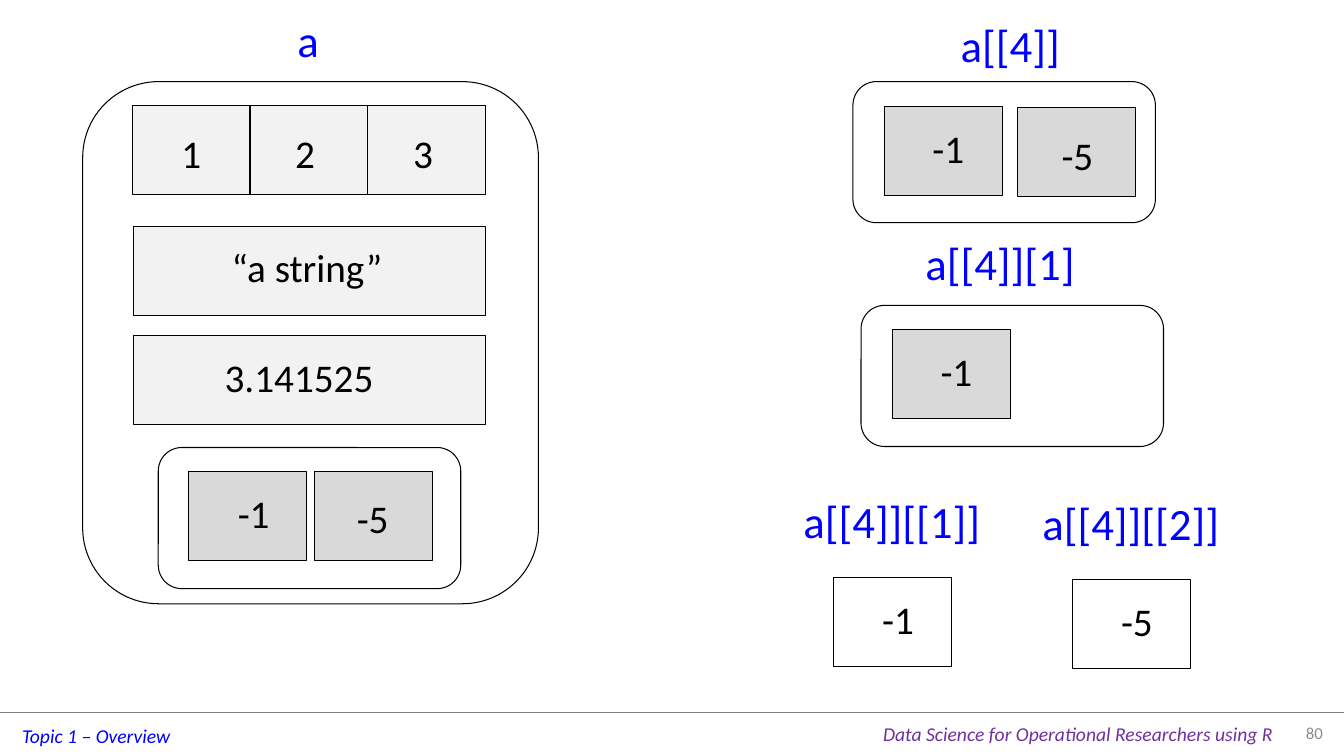
import pptx
import pptx.util
import pptx.dml.color
import pptx.enum.shapes
import pptx.enum.text
import lxml.etree
from dataclasses import dataclass
from pptx.util import Inches


@dataclass(frozen=True)
class Theme:
    font: str = "Calibri"
    ink: str = "000000"
    blue: str = "0000FF"
    plum: str = "7030A0"
    dim: str = "8C8C8C"
    rule: str = "808080"
    pale: str = "F2F2F2"
    grey: str = "D9D9D9"
    head: int = 32
    body: int = 28
    foot: int = 14
    page: int = 12
    edge: float = 0.75
    hair: float = 0.25


theme = Theme()
WIDE, HIGH = 13.33, 7.5
CELL_W, CELL_H = 1.17, 0.88
ROW_W = 3.5
LIST_W, LIST_H = 3, 1.4

FRAMES = [
    (0.82, 0.81, 4.52, 5.18),
    (1.57, 4.44, LIST_W, LIST_H),
    (8.46, 0.81, LIST_W, LIST_H),
    (8.54, 3.03, LIST_W, LIST_H),
]
HEADS = [
    ("a", 2.85, 0.08, 0.42),
    ("a[[4]]", 9.43, 0.13, 1.19),
    ("a[[4]][1]", 9.08, 2.29, 1.7),
    ("a[[4]][[1]]", 7.87, 4.85, 1.97),
    ("a[[4]][[2]]", 10.24, 4.87, 1.97),
]
VECTOR = [("1", 0.39), ("2", 0.35), ("3", 0.35)]
ROWS = [
    ("“a string”", 2.25, 0.88, 0.11, 1.7),
    ("3.141525", 3.33, 0.81, 0.13, 1.69),
]
PAIRS = [
    ("-1", 1.87, 4.68, 0.39, 0.13, theme.grey),
    ("-5", 3.12, 4.68, 0.32, 0.17, theme.grey),
    ("-1", 8.77, 1.06, 0.38, 0.12, theme.grey),
    ("-5", 10.09, 1.07, 0.34, 0.18, theme.grey),
    ("-1", 8.85, 3.27, 0.38, 0.13, theme.grey),
    ("-1", 8.27, 5.73, 0.38, 0.13, None),
    ("-5", 10.64, 5.75, 0.38, 0.13, None),
]
FOOT = [
    ("Topic 1 – Overview", 0.12, 7.13, 1.68, theme.blue),
    ("Data Science for Operational Researchers using R", 8.66, 7.11, 4.11, theme.plum),
]
PAGE = "80"


def color(code):
    return pptx.dml.color.RGBColor.from_string(code)


def shape(slide, kind, x, y, w, h, fill=None):
    item = slide.shapes.add_shape(kind, Inches(x), Inches(y), Inches(w), Inches(h))
    item.shadow.inherit = False
    if fill:
        item.fill.solid()
        item.fill.fore_color.rgb = color(fill)
    else:
        item.fill.background()
    item.line.color.rgb = color(theme.ink)
    item.line.width = pptx.util.Pt(theme.edge)
    return item


def write(slide, text, x, y, w, h, size, tint, slant=False):
    box = slide.shapes.add_textbox(Inches(x), Inches(y), Inches(w), Inches(h))
    frame = box.text_frame
    frame.word_wrap = False
    frame.auto_size = pptx.enum.text.MSO_AUTO_SIZE.SHAPE_TO_FIT_TEXT
    para = frame.paragraphs[0]
    para.text = text
    para.font.name = theme.font
    para.font.size = pptx.util.Pt(size)
    para.font.color.rgb = color(tint)
    para.font.italic = slant
    return frame


def cell(slide, text, x, y, dx, dy, wide, fill, width=CELL_W):
    shape(slide, pptx.enum.shapes.MSO_SHAPE.RECTANGLE, x, y, width, CELL_H, fill)
    write(slide, text, x + dx, y + dy, wide, 0.57, theme.body, theme.ink)


def footer(slide):
    top = Inches(7.07)
    line = slide.shapes.add_connector(
        pptx.enum.shapes.MSO_CONNECTOR.STRAIGHT, 0, top, Inches(WIDE), top)
    line.line.color.rgb = color(theme.rule)
    line.line.width = pptx.util.Pt(theme.hair)
    props = line._element.spPr
    lxml.etree.SubElement(props, pptx.oxml.ns.qn("a:effectLst"))
    for text, x, y, w, tint in FOOT:
        write(slide, text, x, y, w, 0.34, theme.foot, tint, True)
    frame = write(slide, PAGE, 12.67, 7.07, 0.55, 0.39, theme.page, theme.dim)
    frame.word_wrap = True
    frame.auto_size = pptx.enum.text.MSO_AUTO_SIZE.NONE
    frame.vertical_anchor = pptx.enum.text.MSO_ANCHOR.MIDDLE
    frame.paragraphs[0].alignment = pptx.enum.text.PP_ALIGN.RIGHT


def main():
    deck = pptx.Presentation()
    deck.slide_width, deck.slide_height = Inches(WIDE), Inches(HIGH)
    slide = deck.slides.add_slide(deck.slide_layouts[6])
    footer(slide)
    for x, y, w, h in FRAMES:
        shape(slide, pptx.enum.shapes.MSO_SHAPE.ROUNDED_RECTANGLE, x, y, w, h)
    for text, x, y, w in HEADS:
        write(slide, text, x, y, w, 0.64, theme.head, theme.blue)
    for i, (text, dx) in enumerate(VECTOR):
        cell(slide, text, 1.31 + i * CELL_W, 1.05, dx, 0.18, 0.4, theme.pale)
    for text, y, dx, dy, wide in ROWS:
        cell(slide, text, 1.32, y, dx, dy, wide, theme.pale, ROW_W)
    for text, x, y, dx, dy, fill in PAIRS:
        cell(slide, text, x, y, dx, dy, 0.52, fill)
    deck.save("out.pptx")


if __name__ == "__main__":
    main()
